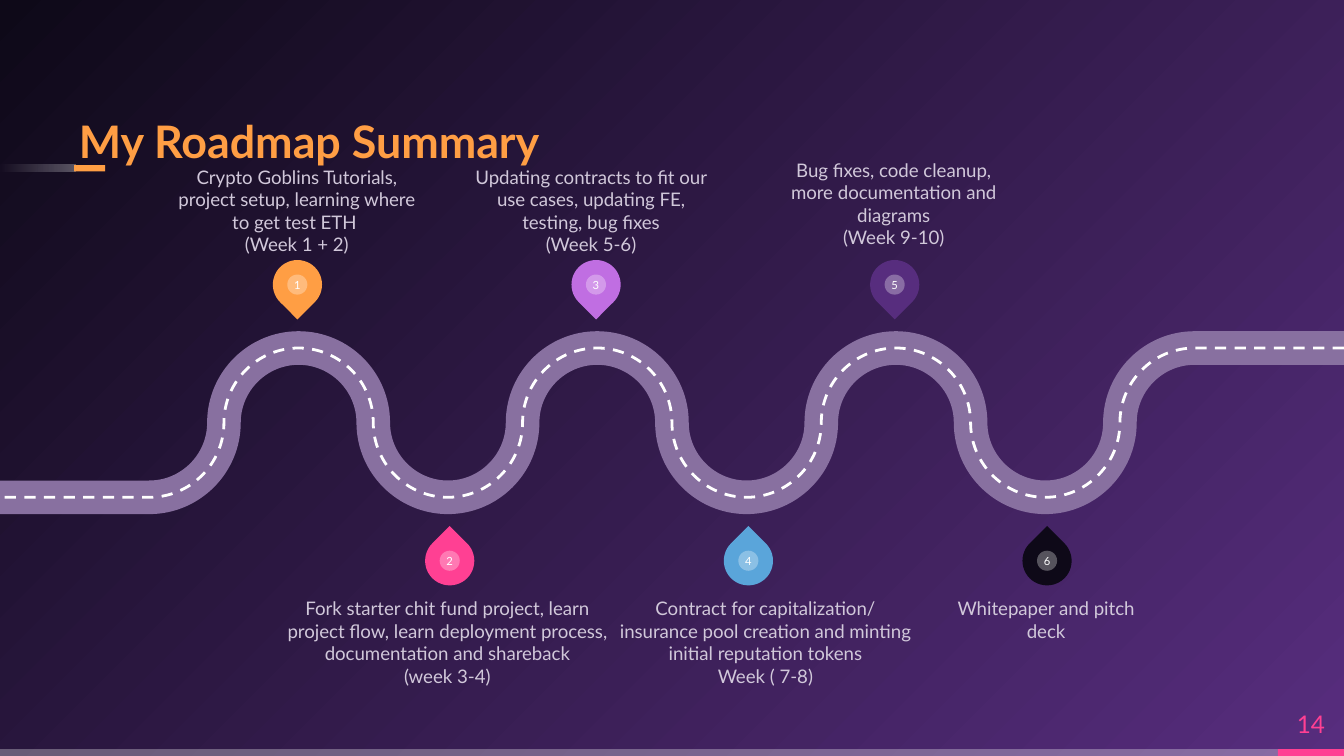
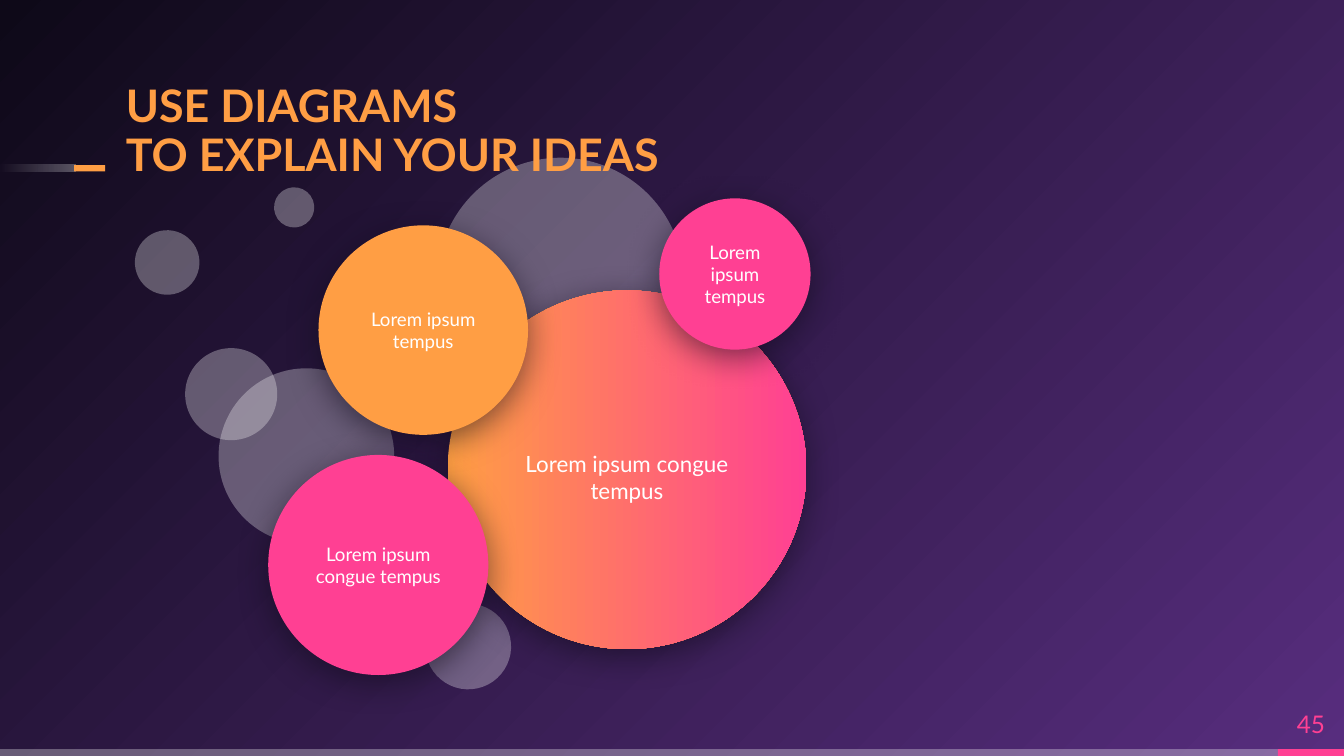
from lxml import etree
from pptx import Presentation
from pptx.dml.color import RGBColor
from pptx.enum.dml import MSO_LINE
from pptx.enum.shapes import MSO_SHAPE as SHAPE
from pptx.enum.text import MSO_ANCHOR as ANCHOR, MSO_AUTO_SIZE as AUTO_SIZE, PP_ALIGN as ALIGN
from pptx.oxml.ns import qn
from pptx.util import Cm, Pt

# Shared style
FONT = "Lato"
ORANGE, PINK, WHITE = "FF9E44", "FF4093", "FFFFFF"
VIOLET, NIGHT, LILAC = "572D7E", "0E0918", "D1C8DA"
ROAD_GREY = "8870A0"
GLASS = 30  # opacity of the pale shapes, percent
WIDTH, HEIGHT = 25.4, 14.29

# Content; lengths in centimetres, "\v" breaks a line, "\n" starts a paragraph
ROADMAP = {"title": "My Roadmap Summary", "title_at": (1.49, 2.09), "number": "14"}
ABOVE = [  # number, pin colour, text, text box
    ("1", ORANGE, "Crypto Goblins Tutorials, project setup, learning where to get test ETH \v(Week 1 + 2)",
     (3.36, 3.36, 4.5, 1.47)),
    ("3", "C06EE2", "Updating contracts to fit our use cases, updating FE, testing, bug fixes\v(Week 5-6)",
     (8.92, 2.37, 4.5, 2.46)),
    ("5", VIOLET, "Bug fixes, code cleanup, more documentation and diagrams\n(Week 9-10)",
     (14.78, 2.92, 4.22, 1.78)),
]
BELOW = [
    ("2", PINK, "Fork starter chit fund project, learn project flow, learn deployment process, "
     "documentation and shareback\v(week 3-4)", (5.43, 11.29, 6.05, 2.18)),
    ("4", "5AA5DA", "Contract for capitalization/ insurance pool creation and minting "
     "initial reputation tokens\nWeek ( 7-8)", (11.71, 11.29, 5.51, 1.9)),
    ("6", NIGHT, "Whitepaper and pitch deck", (17.98, 11.29, 3.58, 1.47)),
]

DIAGRAM = {"title": "USE DIAGRAMS\vTO EXPLAIN YOUR IDEAS", "title_at": (2.38, 2.33), "number": "45"}
BUBBLES = [  # left, top, diameter
    (8.04, 11.41, 1.62), (2.55, 4.35, 1.22), (4.13, 6.96, 3.32),
    (8.26, 2.98, 4.67), (3.5, 6.58, 1.74), (5.18, 3.54, 0.76),
]
IDEAS = [  # fill colours, left, top, diameter, text, size, text width, text height, text drop
    ((ORANGE, PINK), 8.46, 5.49, 6.78, "Lorem ipsum congue tempus", 12, 5.18, 3.23, 0.14),
    ((ORANGE,), 6.02, 4.26, 3.96, "Lorem ipsum tempus", 10, 2.69, 2.62, 0),
    ((PINK,), 5.07, 8.6, 4.16, "Lorem ipsum congue tempus", 10, 2.97, 2.62, 0),
    ((PINK,), 12.46, 3.75, 2.86, "Lorem ipsum tempus", 10, 1.96, 1.9, 0),
]

# Road geometry: half circles of one radius, alternating valley and peak
RADIUS = WIDTH / 18
ROAD_MIDDLE = 7.99
BENDS = 8
ROUND = 0.55  # control length of a quarter circle, in radii
PIN, DOT = 0.93, 0.38
PIN_STEP = 4 * RADIUS


def rgb(color):
    return RGBColor.from_string(color)


def set_opacity(color_element, percent):
    etree.SubElement(color_element, qn("a:alpha")).set("val", str(percent * 1000))


def set_gradient(fill, colors, angle=0):
    fill.gradient()
    fill.gradient_angle = angle
    for stop, color in zip(fill.gradient_stops, colors):
        stop.color.rgb = rgb(color)


def add_shape(slide, kind, at, *colors, opacity=(), angle=0, rotation=0):
    shape = slide.shapes.add_shape(kind, *map(Cm, at))
    shape.rotation = rotation
    shape.shadow.inherit = False
    shape.line.fill.background()
    if len(colors) == 1:
        shape.fill.solid()
        shape.fill.fore_color.rgb = rgb(colors[0])
    else:
        set_gradient(shape.fill, colors, angle)
    for element, percent in zip(list(shape._element.spPr.iter(qn("a:srgbClr"))), opacity):
        set_opacity(element, percent)
    return shape


def write(shape, text, size, color, anchor=ANCHOR.MIDDLE, align=ALIGN.CENTER, inset=0,
          bold=False, spacing=None):
    frame = shape.text_frame
    frame.text = text
    frame.word_wrap = True
    frame.auto_size = AUTO_SIZE.NONE
    frame.vertical_anchor = anchor
    frame.margin_left = frame.margin_right = frame.margin_top = frame.margin_bottom = Cm(inset)
    for para in frame.paragraphs:
        para.alignment = align
        para.line_spacing = spacing
        font = para.font
        font.name, font.size, font.bold = FONT, Pt(size), bold
        font.color.rgb = rgb(color)


def add_text(slide, at, text, size, color, **style):
    write(slide.shapes.add_textbox(*map(Cm, at)), text, size, color, **style)


def add_glow(shape):
    effects = shape._element.spPr.find(qn("a:effectLst"))
    shadow = etree.SubElement(effects, qn("a:outerShdw"), blurRad=str(Pt(18)), dist=str(Pt(4)),
                              dir="5400000", algn="bl", rotWithShape="0")
    color = etree.SubElement(shadow, qn("a:srgbClr"), val=NIGHT)
    set_opacity(color, 55)


def paint_background(master):
    """Radial gradient that spreads from the lower right corner."""
    set_gradient(master.background.fill, (VIOLET, NIGHT))
    gradient = master.element.find(".//" + qn("a:gradFill"))
    gradient.remove(gradient.find(qn("a:lin")))
    circle = etree.SubElement(gradient, qn("a:path"), path="circle")
    etree.SubElement(circle, qn("a:fillToRect"), l="100000", t="100000")


def move_bands_to_layout(slide, layout):
    """Draw the footer bands and the title dash, then hand them to the layout."""
    bar = SHAPE.RECTANGLE
    bands = [
        add_shape(slide, bar, (0, 14.16, 24.24, 0.13), WHITE, opacity=(GLASS,)),
        add_shape(slide, bar, (24.15, 14.16, 1.25, 0.13), PINK),
        add_shape(slide, bar, (0, 3.12, 1.42, 0.12), WHITE, WHITE, opacity=(GLASS, 0), angle=180),
        add_shape(slide, bar, (1.4, 3.12, 0.59, 0.12), ORANGE),
    ]
    for band in bands:
        layout.shapes._spTree.append(band._element)


def add_page(deck, layout, page):
    slide = deck.slides.add_slide(layout)
    title = slide.shapes.title
    title.left, title.top, title.width, title.height = map(Cm, (*page["title_at"], 14.73, 1.09))
    write(title, page["title"], 24, ORANGE, anchor=ANCHOR.BOTTOM, align=ALIGN.LEFT,
          bold=True, spacing=0.9)
    add_text(slide, (24.15, 13.19, 1.25, 0.97), page["number"], 13, PINK)
    return slide


def road_knots():
    """Road from right to left: the ends, the top or bottom of each bend, and the crossings."""
    knots = [(WIDTH, ROAD_MIDDLE - RADIUS)]
    for bend in reversed(range(BENDS)):
        center = (bend + 1) * 2 * RADIUS
        side = 1 if bend % 2 == 0 else -1
        knots.append((center, ROAD_MIDDLE + side * RADIUS))
        if bend:
            knots.append((center - RADIUS, ROAD_MIDDLE))
    return [(Cm(x), Cm(y)) for x, y in knots + [(0, ROAD_MIDDLE + RADIUS)]]


def round_bends(road):
    """Turn every segment but the first and last into a quarter circle."""
    segments = list(road._element.iter(qn("a:lnTo")))
    ends = [tuple(int(line[0].get(axis)) for axis in "xy") for line in segments]
    for index in range(1, len(segments) - 1):
        (x1, y1), (x2, y2) = ends[index - 1], ends[index]
        dx, dy = round(ROUND * (x2 - x1)), round(ROUND * (y2 - y1))
        if index % 2:  # leaves a bend level, arrives upright
            controls = (x1 + dx, y1), (x2, y2 - dy)
        else:
            controls = (x1, y1 + dy), (x2 - dx, y2)
        curve = etree.Element(qn("a:cubicBezTo"))
        for x, y in (*controls, (x2, y2)):
            etree.SubElement(curve, qn("a:pt"), x=str(x), y=str(y))
        segments[index].getparent().replace(segments[index], curve)


def add_road(slide, color, width, dash=None):
    start, *others = road_knots()
    builder = slide.shapes.build_freeform(*start)
    builder.add_line_segments(others, close=False)
    road = builder.convert_to_shape()
    round_bends(road)
    road.shadow.inherit = False
    road.fill.background()
    road.line.color.rgb = rgb(color)
    road.line.width = Pt(width)
    road.line.dash_style = dash


def centered(x, y, width, height):
    return x - width / 2, y - height / 2, width, height


def add_pins(slide, milestones, first_x, y, rotation):
    for index, (number, color, *_) in enumerate(milestones):
        x = first_x + index * PIN_STEP
        add_shape(slide, SHAPE.TEAR, centered(x, y, PIN, PIN), color, rotation=rotation)
        dot = add_shape(slide, SHAPE.OVAL, centered(x, y, DOT, DOT), WHITE, opacity=(GLASS,))
        write(dot, number, 6, WHITE)


def fill_roadmap(slide):
    add_road(slide, ROAD_GREY, 18)
    add_road(slide, WHITE, 1.5, MSO_LINE.DASH)
    add_pins(slide, ABOVE, 5.62, 5.38, 135)
    add_pins(slide, BELOW, 8.5, 10.6, 315)
    for milestones, anchor in ((ABOVE, ANCHOR.BOTTOM), (BELOW, ANCHOR.TOP)):
        for _, _, text, box in milestones:
            add_text(slide, box, text, 10, LILAC, anchor=anchor)


def fill_diagram(slide):
    for left, top, size in BUBBLES:
        add_shape(slide, SHAPE.OVAL, (left, top, size, size), WHITE, opacity=(GLASS,), rotation=250)
    for colors, left, top, size, text, points, width, height, drop in IDEAS:
        add_glow(add_shape(slide, SHAPE.OVAL, (left, top, size, size), *colors))
        box = centered(left + size / 2, top + size / 2 + drop, width, height)
        add_text(slide, box, text, points, WHITE, inset=0.25)
    # The title lies over the bubbles
    slide.shapes._spTree.append(slide.shapes.title._element)


def main():
    deck = Presentation()
    deck.slide_width, deck.slide_height = Cm(WIDTH), Cm(HEIGHT)
    layout = deck.slide_layouts[5]
    paint_background(deck.slide_master)

    roadmap = add_page(deck, layout, ROADMAP)
    move_bands_to_layout(roadmap, layout)
    fill_roadmap(roadmap)
    fill_diagram(add_page(deck, layout, DIAGRAM))
    deck.save("out.pptx")


if __name__ == "__main__":
    main()
